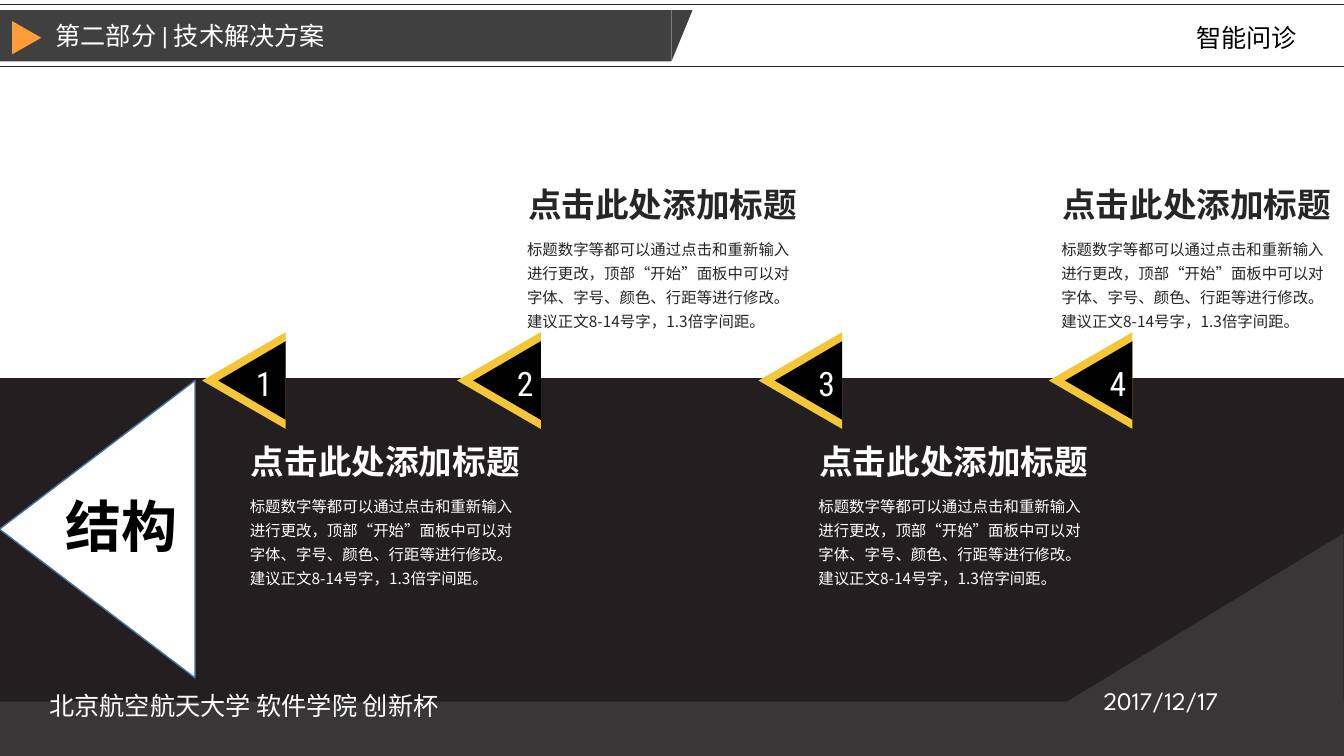
from dataclasses import dataclass

from lxml.etree import SubElement
from pptx import Presentation
from pptx.dml.color import RGBColor
from pptx.enum.lang import MSO_LANGUAGE_ID
from pptx.enum.shapes import MSO_CONNECTOR, MSO_SHAPE
from pptx.enum.text import MSO_ANCHOR, MSO_AUTO_SIZE, PP_ALIGN
from pptx.oxml.ns import qn
from pptx.shapes.autoshape import Shape
from pptx.shapes.shapetree import GroupShapes, SlideShapes
from pptx.text.text import TextFrame
from pptx.util import Inches, Pt

COL = ROW = Inches(0.1)
COLS, ROWS = 133.33, 75

WHITE = RGBColor(0xFF, 0xFF, 0xFF)
BLACK = RGBColor(0x00, 0x00, 0x00)
INK = RGBColor(0x26, 0x26, 0x26)
NIGHT = RGBColor(0x23, 0x1F, 0x20)
SLATE = RGBColor(0x38, 0x36, 0x37)
BAR = RGBColor(0x40, 0x40, 0x40)
YELLOW = RGBColor(0xF5, 0xC6, 0x38)
ORANGE = RGBColor(0xFF, 0x9D, 0x38)
BLUE = RGBColor(0x43, 0x73, 0x9E)

CONDENSED = "Roboto Condensed"
SPARTAN = "League Spartan"
CJK = "Noto Sans CJK SC"

HEADING = "点击此处添加标题"
BODY = (
    "标题数字等都可以通过点击和重新输入进行更改，顶部“开始”面板中可以对"
    "字体、字号、颜色、行距等进行修改。建议正文8-14号字，1.3倍字间距。"
)


@dataclass(frozen=True)
class Box:
    col: float
    row: float
    cols: float
    rows: float

    def emu(self) -> tuple[int, int, int, int]:
        return (
            int(self.col * COL),
            int(self.row * ROW),
            int(self.cols * COL),
            int(self.rows * ROW),
        )


@dataclass(frozen=True)
class Style:
    size: int
    font: str
    color: RGBColor
    bold: bool = False
    wrap: bool = True
    grow: bool = True
    spacing: float = 1.0


@dataclass(frozen=True)
class Step:
    number: int
    marker_col: float
    digit_col: float
    text_col: float
    text_row: float
    color: RGBColor


STEPS = [
    Step(1, 19.4, 24.4, 23.9, 43.3, WHITE),
    Step(2, 44.7, 50.3, 51.4, 17.8, INK),
    Step(3, 74.6, 80.2, 80.3, 43.3, WHITE),
    Step(4, 103.4, 109.1, 104.4, 17.8, INK),
]


def add_block(
    shapes: SlideShapes | GroupShapes,
    kind: MSO_SHAPE,
    box: Box,
    color: RGBColor,
    rotation: int = 0,
) -> Shape:
    sp = shapes.add_shape(kind, *box.emu())
    sp.shadow.inherit = False
    sp.fill.solid()
    sp.fill.fore_color.rgb = color
    sp.line.fill.background()
    sp.rotation = rotation
    return sp


def add_rule(shapes: SlideShapes, row: float) -> None:
    y = int(row * ROW)
    cxn = shapes.add_connector(MSO_CONNECTOR.STRAIGHT, 0, y, int(COLS * COL), y)
    cxn.line.color.rgb = INK
    cxn.line.width = Pt(0.5)
    SubElement(cxn.element.spPr, qn("a:effectLst"))


def write(tf: TextFrame, text: str, style: Style) -> None:
    tf.text = text
    tf.word_wrap = style.wrap
    tf.auto_size = MSO_AUTO_SIZE.SHAPE_TO_FIT_TEXT if style.grow else MSO_AUTO_SIZE.NONE
    p = tf.paragraphs[0]
    p.alignment = PP_ALIGN.LEFT
    p.line_spacing = style.spacing
    r = p.runs[0]
    r.font.size = Pt(style.size)
    r.font.bold = style.bold
    r.font.name = style.font
    r.font.color.rgb = style.color
    r.font.language_id = MSO_LANGUAGE_ID.SIMPLIFIED_CHINESE
    SubElement(r._r.get_or_add_rPr(), qn("a:ea")).set("typeface", CJK)


def add_text(shapes: SlideShapes, box: Box, text: str, style: Style) -> None:
    write(shapes.add_textbox(*box.emu()).text_frame, text, style)


def add_marker(shapes: SlideShapes, step: Step) -> None:
    group = shapes.add_group_shape().shapes
    triangle = MSO_SHAPE.ISOSCELES_TRIANGLE
    add_block(group, triangle, Box(step.marker_col, 33.6, 9.6, 8.3), YELLOW, 270)
    add_block(group, triangle, Box(step.marker_col + 1.7, 34.4, 7.8, 6.7), BLACK, 270)


def add_step_text(shapes: SlideShapes, step: Step) -> None:
    digit = Style(24, CONDENSED, WHITE, wrap=False)
    heading = Style(24, CONDENSED, step.color, bold=True, wrap=False)
    body = Style(11, CJK, step.color, spacing=1.3)
    col, row = step.text_col, step.text_row
    add_text(shapes, Box(step.digit_col, 35.5, 3.7, 5), str(step.number), digit)
    add_text(shapes, Box(col, row, 28.9, 5), HEADING, heading)
    add_text(shapes, Box(col - 0.1, row + 4.95, 29.1, 10.6), BODY, body)


def add_header(shapes: SlideShapes) -> None:
    group = shapes.add_group_shape().shapes
    triangle = MSO_SHAPE.ISOSCELES_TRIANGLE
    add_block(group, MSO_SHAPE.RECTANGLE, Box(0, 1, 66.6, 5.1), BAR)
    tip = add_block(group, triangle, Box(66.6, 1, 2.1, 5.1), BAR, 180)
    tip.adjustments[0] = 0
    tip.element.spPr.xfrm.set("flipH", "1")
    title = shapes.title
    title.left, title.top, title.width, title.height = Box(4.5, 1.5, 39.5, 4).emu()
    write(title.text_frame, "第二部分 | 技术解决方案", Style(18, CONDENSED, WHITE))
    title.text_frame.vertical_anchor = MSO_ANCHOR.MIDDLE
    title.element.getparent().append(title.element)
    add_block(shapes, triangle, Box(1, 2.3, 3.3, 2.9), ORANGE, 90)


def main() -> None:
    prs = Presentation()
    prs.slide_width, prs.slide_height = int(COLS * COL), ROWS * ROW
    s = prs.slides.add_slide(prs.slide_layouts[5])
    shapes = s.shapes

    for row in (0.4, 6.6):
        add_rule(shapes, row)
    add_block(shapes, MSO_SHAPE.RECTANGLE, Box(0, ROWS / 2, COLS, ROWS / 2), NIGHT)
    arrow = add_block(
        shapes, MSO_SHAPE.ISOSCELES_TRIANGLE, Box(-5.1, 42.8, 29.5, 19.4), WHITE, 270
    )
    arrow.line.color.rgb = BLUE
    arrow.line.width = Pt(1)

    for step in STEPS:
        add_marker(shapes, step)
    topic = Style(40, CONDENSED, BLACK, bold=True, wrap=False)
    add_text(shapes, Box(5.5, 48.3, 13.2, 7.7), "结构", topic)
    for step in STEPS:
        add_step_text(shapes, step)

    add_block(shapes, MSO_SHAPE.RECTANGLE, Box(0, 69.6, COLS, 5.4), SLATE)
    add_block(shapes, MSO_SHAPE.RIGHT_TRIANGLE, Box(104.1, 45.8, 22.1, 36.3), SLATE, 270)
    add_header(shapes)

    footer = Style(18, SPARTAN, WHITE, grow=False)
    add_text(shapes, Box(108.5, 67.5, 23, 3.5), "2017/12/17", footer)
    add_text(shapes, Box(3.9, 68, 70, 3.5), "北京航空航天大学 软件学院 创新杯", footer)
    project = Style(18, SPARTAN, BLACK, grow=False)
    add_text(shapes, Box(117.7, 1.7, 13.8, 3.8), "智能问诊", project)

    prs.save("out.pptx")


if __name__ == "__main__":
    main()
